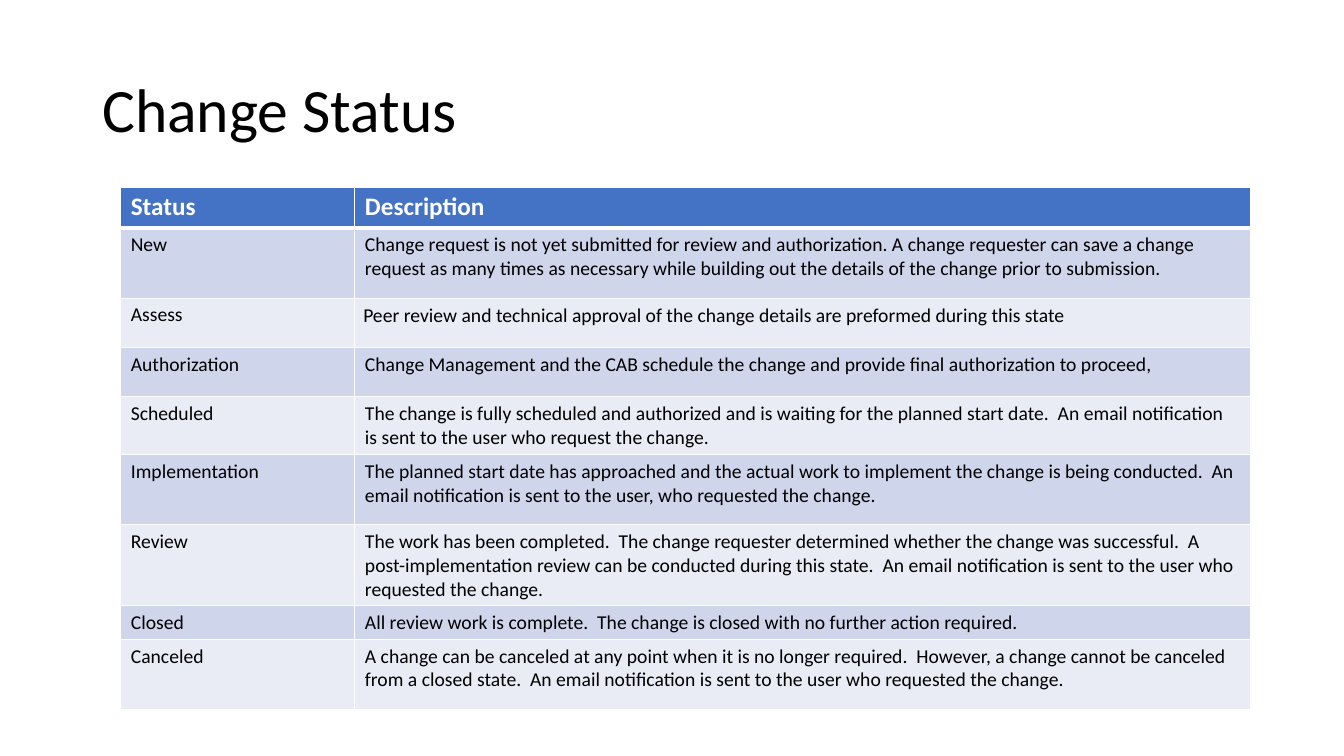
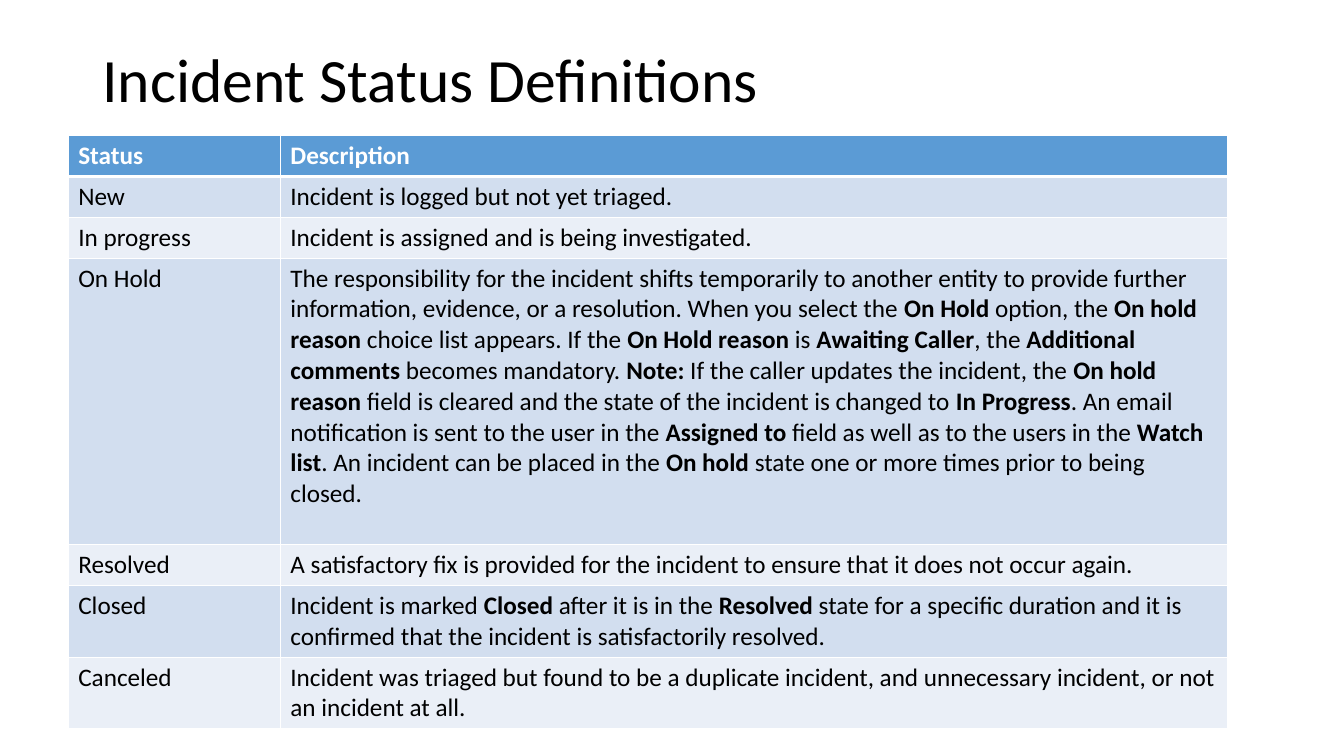
"""Build two slides that define change and incident statuses in banded tables."""
from lxml import etree
from pptx import Presentation
from pptx.dml.color import RGBColor
from pptx.enum.text import MSO_ANCHOR
from pptx.oxml.ns import qn
from pptx.util import Emu, Pt

MIDDLE = MSO_ANCHOR.MIDDLE
PX = 9525
FONT = "Calibri"
BOLD_MARK = "**"
COLORS = {
    "text": "000000",
    "white": "FFFFFF",
    "change_header": "4472C4",
    "change_odd": "CFD5EA",
    "change_even": "E9EBF5",
    "incident_header": "5B9BD5",
    "incident_odd": "D2DEEF",
    "incident_even": "EAEFF7",
}

CHANGE_ROWS = [
    (39, "Status", "Description"),
    (67, "New", "Change request is not yet submitted for review and authorization. A change requester can save a change request as many times as necessary while building out the details of the change prior to submission."),
    (47, "Assess", "Peer review and technical approval of the change details are preformed during this state"),
    (47, "Authorization", "Change Management and the CAB schedule the change and provide final authorization to proceed,"),
    (55, "Scheduled", "The change is fully scheduled and authorized and is waiting for the planned start date.  An email notification is sent to the user who request the change."),
    (67, "Implementation", "The planned start date has approached and the actual work to implement the change is being conducted.  An email notification is sent to the user, who requested the change."),
    (77, "Review", "The work has been completed.  The change requester determined whether the change was successful.  A post-implementation review can be conducted during this state.  An email notification is sent to the user who requested the change."),
    (32, "Closed", "All review work is complete.  The change is closed with no further action required."),
    (67, "Canceled", "A change can be canceled at any point when it is no longer required.  However, a change cannot be canceled from a closed state.  An email notification is sent to the user who requested the change."),
]

INCIDENT_ROWS = [
    (39, "Status", "Description"),
    (39, "New", "Incident is logged but not yet triaged."),
    (39, "In progress", "Incident is assigned and is being investigated."),
    (273, "On Hold", "The responsibility for the incident shifts temporarily to another entity to provide further information, evidence, or a resolution. When you select the **On Hold** option, the **On hold reason** choice list appears. If the **On Hold reason** is **Awaiting Caller**, the **Additional comments** becomes mandatory. **Note:** If the caller updates the incident, the **On hold reason** field is cleared and the state of the incident is changed to **In Progress**. An email notification is sent to the user in the **Assigned to** field as well as to the users in the **Watch list**. An incident can be placed in the **On hold** state one or more times prior to being closed."),
    (39, "Resolved", "A satisfactory fix is provided for the incident to ensure that it does not occur again."),
    (68, "Closed", "Incident is marked **Closed** after it is in the **Resolved** state for a specific duration and it is confirmed that the incident is satisfactorily resolved."),
    (68, "Canceled", "Incident was triaged but found to be a duplicate incident, and unnecessary incident, or not an incident at all."),
]


class Deck:
    """Hold the shared style and the current slide."""

    def __init__(self, width, height):
        """Start an empty presentation."""
        self.presentation = Presentation()
        self.presentation.slide_width = self.px(width)
        self.presentation.slide_height = self.px(height)
        self.slide = None

    @staticmethod
    def px(length):
        """Turn pixels into EMU."""
        return Emu(length * PX)

    def add_slide(self):
        """Add a blank slide and make it current."""
        layout = self.presentation.slide_layouts[6]
        self.slide = self.presentation.slides.add_slide(layout)

    def add_text(self, paragraph, text, size, color="text", bold=False):
        """Add runs, with marked stretches in bold."""
        for index, part in enumerate(text.split(BOLD_MARK)):
            if part:
                run = paragraph.add_run()
                run.text = part
                run.font.name = FONT
                run.font.size = Pt(size)
                run.font.bold = bold or index % 2 == 1
                run.font.color.rgb = RGBColor.from_string(COLORS[color])

    def title(self, text, height):
        """Add the slide title."""
        shape = self.slide.shapes.add_textbox(*map(self.px, (88, 38, 1104, height)))
        frame = shape.text_frame
        frame.word_wrap = True
        frame.vertical_anchor = MIDDLE
        paragraph = frame.paragraphs[0]
        paragraph.line_spacing = 0.9
        self.add_text(paragraph, text, 44)

    def borders(self, cell, top, bottom):
        """Draw white cell borders with the given top and bottom widths."""
        properties = cell._tc.get_or_add_tcPr()
        widths = {"a:lnL": 1, "a:lnR": 1, "a:lnT": top, "a:lnB": bottom}
        for index, (tag, width) in enumerate(widths.items()):
            line = etree.Element(qn(tag), w=str(Pt(width)))
            fill = etree.SubElement(line, qn("a:solidFill"))
            etree.SubElement(fill, qn("a:srgbClr"), val=COLORS["white"])
            properties.insert(index, line)

    def table(self, left, top, widths, rows, theme, body_size):
        """Add a status table with a header and alternating bands."""
        height = sum(row[0] for row in rows)
        box = map(self.px, (left, top, sum(widths), height))
        table = self.slide.shapes.add_table(len(rows), len(widths), *box).table
        for column, width in zip(table.columns, widths):
            column.width = self.px(width)
        for index, (row_height, *texts) in enumerate(rows):
            table.rows[index].height = self.px(row_height)
            header = index == 0
            band = "header" if header else ("even", "odd")[index % 2]
            for column, text in enumerate(texts):
                cell = table.cell(index, column)
                cell.fill.solid()
                cell.fill.fore_color.rgb = RGBColor.from_string(COLORS[f"{theme}_{band}"])
                self.borders(cell, 3 if index == 1 else 1, 3 if header else 1)
                self.add_text(
                    cell.text_frame.paragraphs[0],
                    text,
                    18 if header else body_size,
                    "white" if header else "text",
                    header,
                )
        return table

    def tighten(self, cell):
        """Narrow the margins of a cell and open its line spacing."""
        cell.margin_left = cell.margin_right = self.px(8)
        cell.margin_top = cell.margin_bottom = self.px(4)
        cell.text_frame.paragraphs[0].line_spacing = 1.07


def main():
    """Build and save the presentation."""
    deck = Deck(1280, 720)

    deck.add_slide()
    deck.title("Change Status", 139)
    change_table = deck.table(115, 178, (223, 853), CHANGE_ROWS, "change", 14)
    deck.tighten(change_table.cell(2, 1))

    deck.add_slide()
    deck.title("Incident Status Definitions", 82)
    deck.table(65, 129, (202, 902), INCIDENT_ROWS, "incident", 18)

    deck.presentation.save("out.pptx")


if __name__ == "__main__":
    main()
